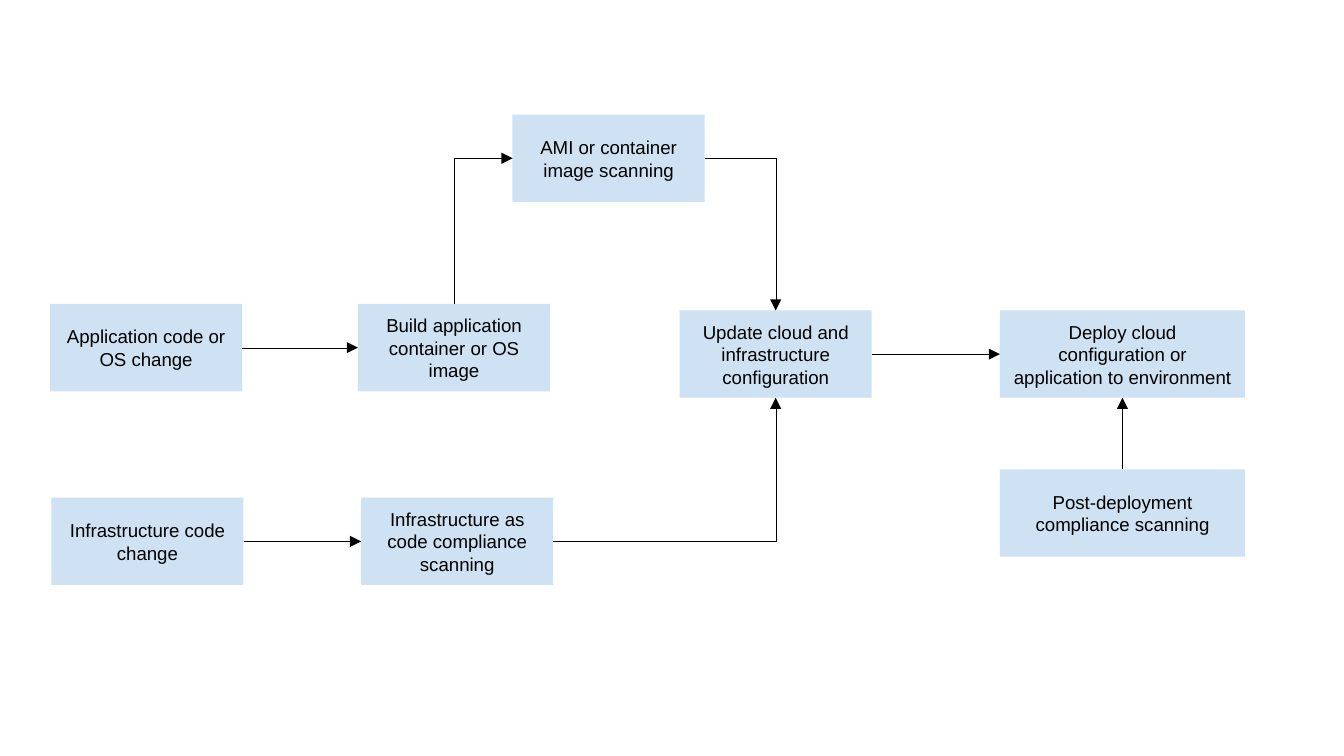
from dataclasses import dataclass

from lxml.etree import SubElement
from pptx import Presentation
from pptx.dml.color import RGBColor as RGB
from pptx.enum.shapes import MSO_CONNECTOR as Line, MSO_SHAPE as Shape
from pptx.enum.text import MSO_ANCHOR as Anchor, PP_ALIGN as Align
from pptx.oxml.ns import qn
from pptx.util import Inches, Pt

TOP, LEFT, BOTTOM, RIGHT = range(4)


@dataclass(frozen=True)
class Theme:
    fill: RGB = RGB(0xCF, 0xE2, 0xF3)
    ink: RGB = RGB(0, 0, 0)
    font: str = "Arial"
    size: Pt = Pt(10)
    inset: Inches = Inches(0.1)


class FlowSlide:
    COLS = 100
    BOX_ROWS = 6.5

    def __init__(self, prs, theme):
        self.theme = theme
        self.cell = prs.slide_width / self.COLS
        self.s = prs.slides.add_slide(prs.slide_layouts[6])

    def grid(self, *cells):
        return [round(c * self.cell) for c in cells]

    def box(self, text, col, row, cols=14.3):
        t = self.theme
        sp = self.s.shapes.add_shape(
            Shape.RECTANGLE, *self.grid(col, row, cols, self.BOX_ROWS))
        sp.shadow.inherit = False
        sp.fill.solid()
        sp.fill.fore_color.rgb = t.fill
        sp.line.fill.background()
        tf = sp.text_frame
        tf.word_wrap = True
        tf.vertical_anchor = Anchor.MIDDLE
        tf.margin_left = tf.margin_right = t.inset
        tf.margin_top = tf.margin_bottom = t.inset
        tf.text = text
        p = tf.paragraphs[0]
        p.alignment = Align.CENTER
        font = p.runs[0].font
        font.name, font.size, font.color.rgb = t.font, t.size, t.ink
        return sp

    def arrow(self, start, start_side, end, end_side):
        turns = (start_side + end_side) % 2 == 1
        kind = Line.ELBOW if turns else Line.STRAIGHT
        cxn = self.s.shapes.add_connector(kind, 0, 0, 0, 0)
        cxn.begin_connect(start, start_side)
        cxn.end_connect(end, end_side)
        cxn.line.color.rgb = self.theme.ink
        props = cxn._element.spPr
        ln = props.find(qn("a:ln"))
        ln.set("w", "0")
        SubElement(ln, qn("a:tailEnd"), type="triangle")
        SubElement(props, qn("a:effectLst"))
        if turns:
            props.find(qn("a:prstGeom")).set("prst", "bentConnector2")
            if start_side == TOP:
                self.turn_up_then_right(cxn)
        return cxn

    def turn_up_then_right(self, cxn):
        x, y, w, h = cxn.left, cxn.top, cxn.width, cxn.height
        cxn.left, cxn.top = x + (w - h) // 2, y + (h - w) // 2
        cxn.width, cxn.height = h, w
        xfrm = cxn._element.spPr.find(qn("a:xfrm"))
        for name, value in (("rot", "5400000"), ("flipH", "1"), ("flipV", "1")):
            xfrm.set(name, value)


def main():
    prs = Presentation()
    prs.slide_width = Inches(10)
    prs.slide_height = prs.slide_width * 9 // 16
    flow = FlowSlide(prs, Theme())

    build = flow.box("Build application container or OS image", 26.63, 22.62)
    deploy = flow.box("Deploy cloud configuration or application to environment",
                      74.4, 23.1, 18.23)
    update = flow.box("Update cloud and infrastructure configuration", 50.57, 23.1)
    app_change = flow.box("Application code or OS change", 3.72, 22.62)
    infra_change = flow.box("Infrastructure code change", 3.82, 37.03)
    infra_scan = flow.box("Infrastructure as code compliance scanning",
                          26.87, 37.03)
    image_scan = flow.box("AMI or container image scanning", 38.13, 8.53)
    post_scan = flow.box("Post-deployment compliance scanning",
                         74.4, 34.92, 18.23)

    for link in (
        (app_change, RIGHT, build, LEFT),
        (infra_change, RIGHT, infra_scan, LEFT),
        (build, TOP, image_scan, LEFT),
        (image_scan, RIGHT, update, TOP),
        (update, RIGHT, deploy, LEFT),
        (infra_scan, RIGHT, update, BOTTOM),
        (post_scan, TOP, deploy, BOTTOM),
    ):
        flow.arrow(*link)

    prs.save("out.pptx")


if __name__ == "__main__":
    main()
